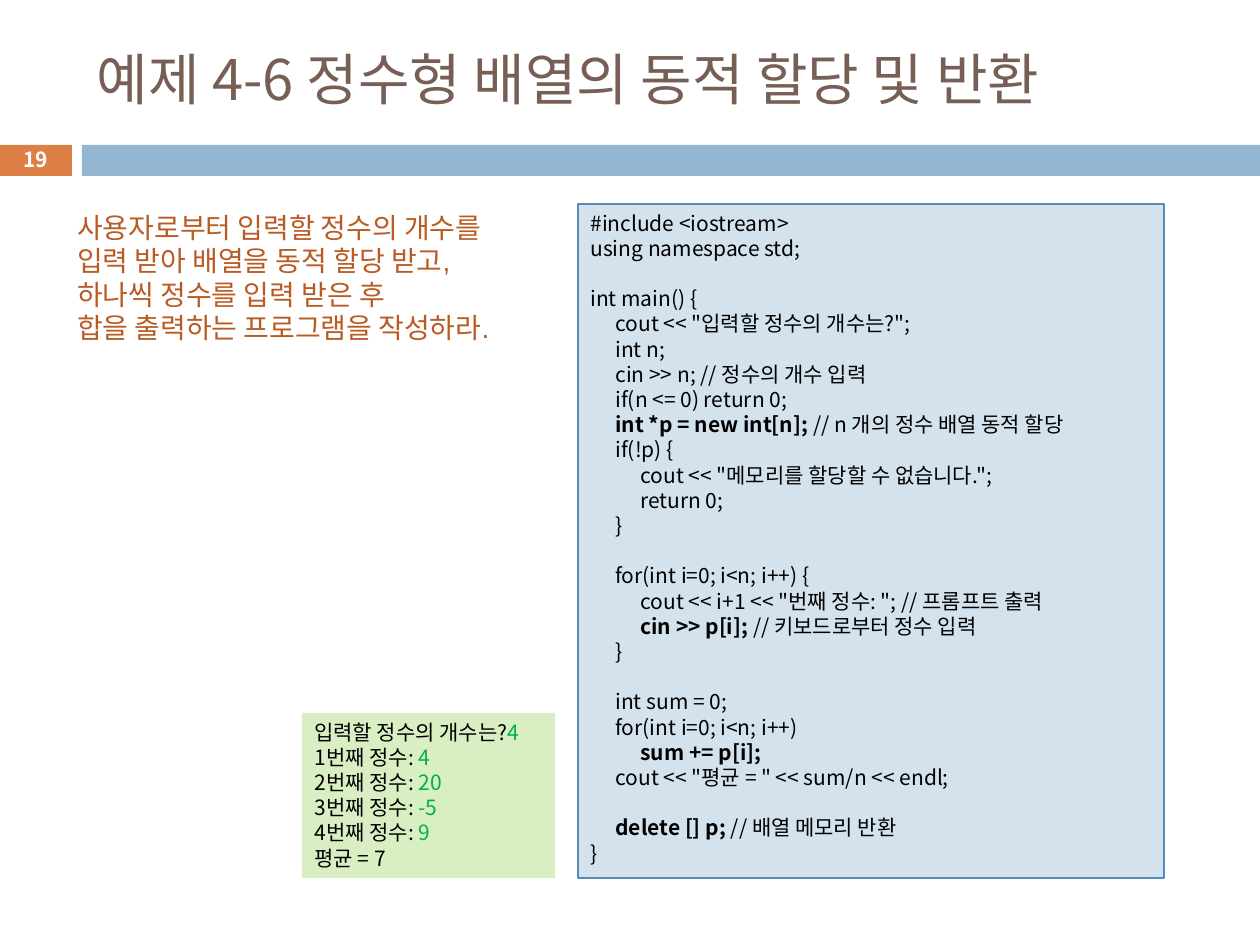
import pptx
import pptx.util
import pptx.dml.color
import pptx.enum.shapes
import pptx.enum.text
import pptx.oxml.ns
from lxml import etree

PX = 914400 / 126
FONT = "Noto Sans CJK KR"
TAB_PX = 25
ALIGN = pptx.enum.text.PP_ALIGN
ANCHOR = pptx.enum.text.MSO_ANCHOR
COLORS = {
    "title": "775F55", "number": "DD8047", "banner": "94B6D2",
    "code": "D4E2ED", "code_line": "558BB8", "result": "DAEEC4",
    "input": "00B050", "task": "B95B22", "text": "000000", "white": "FFFFFF",
}

TASK = [
    "사용자로부터 입력할 정수의 개수를",
    "입력 받아 배열을 동적 할당 받고,",
    "하나씩 정수를 입력 받은 후",
    "합을 출력하는 프로그램을 작성하라.",
]

# Text between bars is emphasised: bold in the code, green in the result.
CODE = """#include <iostream>
using namespace std;

int main() {
\tcout << "입력할 정수의 개수는?";
\tint n;
\tcin >> n; // 정수의 개수 입력
\tif(n <= 0) return 0;
\t|int *p = new int[n]; |// n 개의 정수 배열 동적 할당
\tif(!p) {
\t\tcout << "메모리를 할당할 수 없습니다.";
\t\treturn 0;
\t}

\tfor(int i=0; i<n; i++) {
\t\tcout << i+1 << "번째 정수: "; // 프롬프트 출력
\t\t|cin >> p[i]; |// 키보드로부터 정수 입력
\t}

\tint sum = 0;
\tfor(int i=0; i<n; i++)
\t\t|sum += p[i];|
\tcout << "평균 = " << sum/n << endl;

\t|delete [] p; |// 배열 메모리 반환
}""".split("\n")

INPUTS = [4, 20, -5, 9]
RESULT = [
    f"입력할 정수의 개수는?|{len(INPUTS)}|",
    *[f"{i}번째 정수: |{value}|" for i, value in enumerate(INPUTS, 1)],
    "평균 = 7",
]


def rgb(name):
    return pptx.dml.color.RGBColor.from_string(COLORS[name])


def emu(box):
    return [round(length * PX) for length in box]


def style(span, size, color, bold=False, font=FONT):
    span.font.size = pptx.util.Pt(size)
    span.font.bold = bold
    span.font.color.rgb = rgb(color)
    span.font.name = font
    east_asian = etree.SubElement(span.font._element, pptx.oxml.ns.qn("a:ea"))
    east_asian.set("typeface", FONT)


def add_tabs(para, count):
    tabs = etree.SubElement(para._p.get_or_add_pPr(), pptx.oxml.ns.qn("a:tabLst"))
    for i in range(1, count + 1):
        tab = etree.SubElement(tabs, pptx.oxml.ns.qn("a:tab"))
        tab.set("pos", str(round(i * TAB_PX * PX)))
        tab.set("algn", "l")


def write_lines(frame, lines, size, color="text", accent=None, font=FONT):
    """Write one paragraph per line; accented parts take the accent colour, or bold."""
    frame.word_wrap = True
    frame.vertical_anchor = ANCHOR.TOP
    for i, line in enumerate(lines):
        para = frame.add_paragraph() if i else frame.paragraphs[0]
        para.alignment = ALIGN.LEFT
        para.line_spacing = pptx.util.Pt(size * 1.2)
        add_tabs(para, 2)
        for j, part in enumerate(line.split("|")):
            if not part:
                continue
            span = para.add_run()
            span.text = part
            marked = j % 2 == 1
            style(span, size, accent if marked and accent else color,
                  bold=marked and not accent, font=font)


def add_panel(page, box, fill, line=None):
    panel = page.shapes.add_shape(pptx.enum.shapes.MSO_SHAPE.RECTANGLE, *emu(box))
    panel.shadow.inherit = False
    panel.fill.solid()
    panel.fill.fore_color.rgb = rgb(fill)
    if line:
        panel.line.color.rgb = rgb(line)
        panel.line.width = pptx.util.Pt(0.75)
    else:
        panel.line.fill.background()
    return panel


def place_title(page, box, text):
    title = page.shapes.title
    title.left, title.top, title.width, title.height = emu(box)
    frame = title.text_frame
    frame.text = text
    frame.vertical_anchor = ANCHOR.MIDDLE
    frame.paragraphs[0].alignment = ALIGN.LEFT
    style(frame.paragraphs[0].runs[0], 32, "title")


def add_banner(page, box, number):
    left, top, width, height = box
    number_width, gap = 73, 10
    bar_left = left + number_width + gap
    add_panel(page, (left, top, number_width, height), "number")
    add_panel(page, (bar_left, top, left + width - bar_left, height), "banner")
    label = page.shapes.add_textbox(*emu((left, top - 3, number_width, height + 3)))
    frame = label.text_frame
    frame.text = str(number)
    frame.word_wrap = True
    frame.vertical_anchor = ANCHOR.MIDDLE
    frame.paragraphs[0].alignment = ALIGN.CENTER
    style(frame.paragraphs[0].runs[0], 11.9, "white", bold=True)


def add_code(page, box):
    panel = add_panel(page, box, "code", "code_line")
    write_lines(panel.text_frame, CODE, 12)


def add_result(page, box):
    panel = add_panel(page, box, "result")
    write_lines(panel.text_frame, RESULT, 12, accent="input")


def add_task(page, box):
    text = page.shapes.add_textbox(*emu(box))
    write_lines(text.text_frame, TASK, 16, color="task", font="Arial")


def main():
    deck = pptx.Presentation()
    deck.slide_width, deck.slide_height = emu((1260, 945))
    page = deck.slides.add_slide(deck.slide_layouts[5])
    place_title(page, (84, 32, 1124, 93), "예제 4-6 정수형 배열의 동적 할당 및 반환")
    add_banner(page, (-1, 145, 1261, 31), 19)
    add_code(page, (578, 204, 586, 674))
    add_result(page, (302, 713, 253, 165))
    add_task(page, (65, 204, 515, 149))
    deck.save("out.pptx")


if __name__ == "__main__":
    main()
